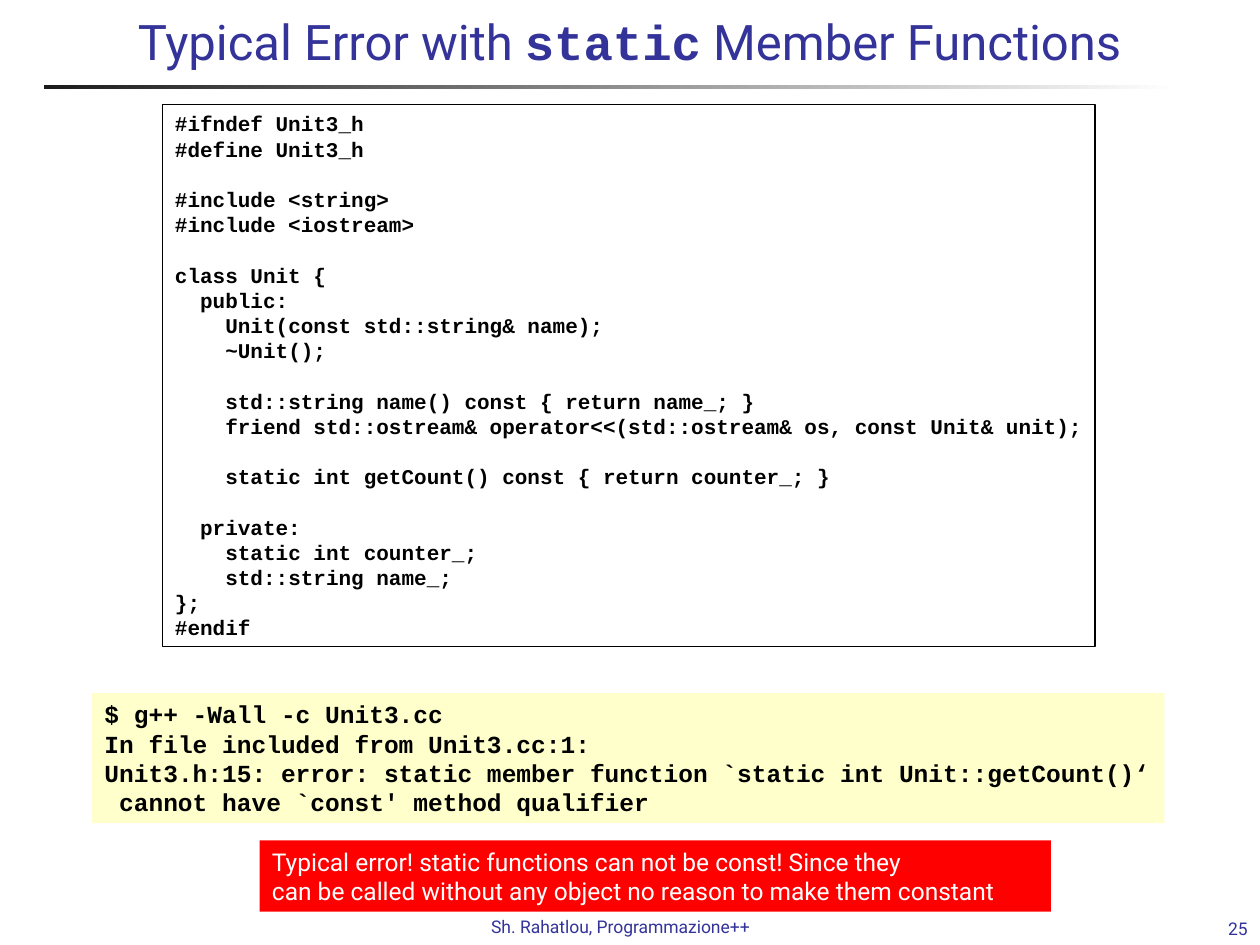
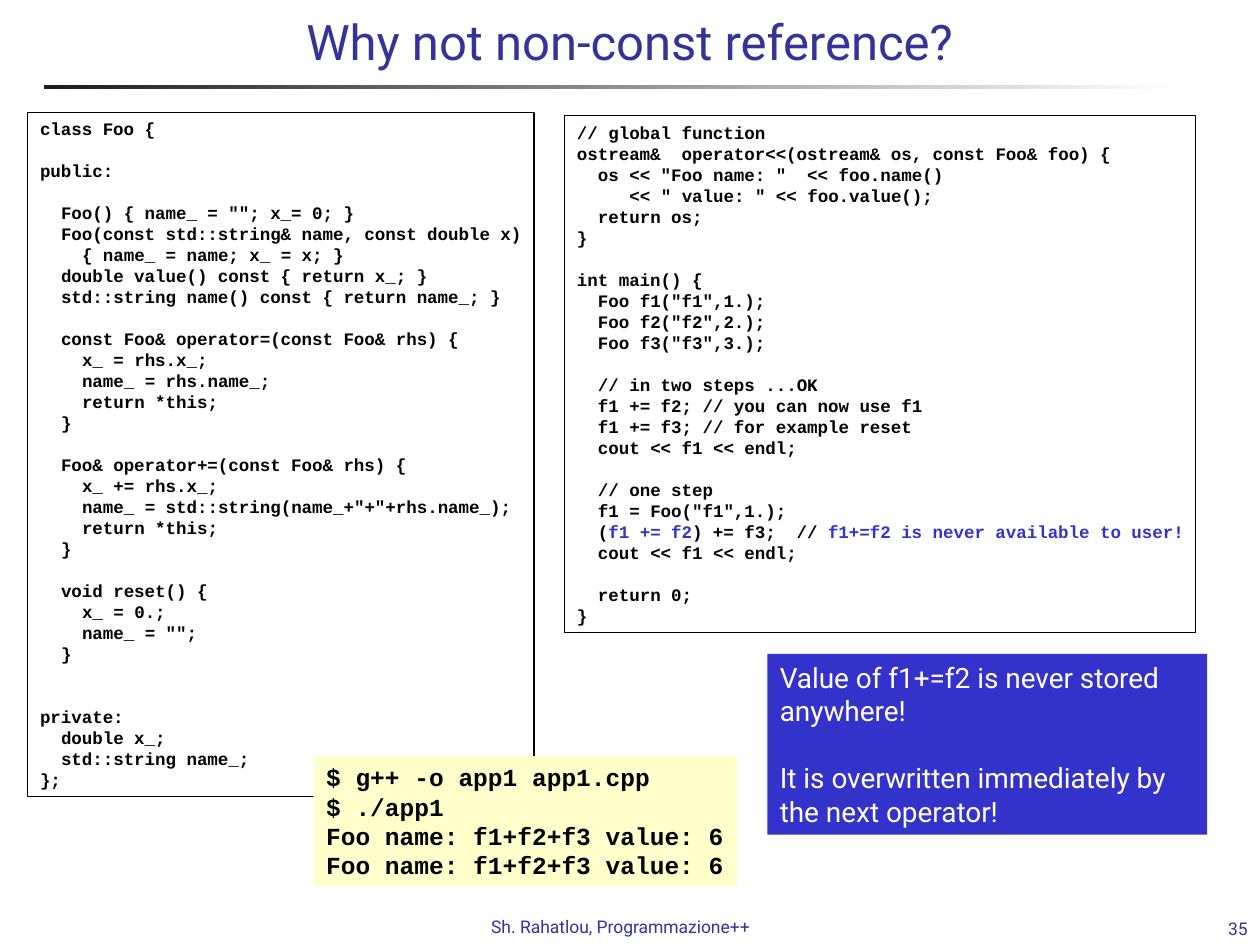
"""Build two C++ course slides with code listings, console output and callouts."""
from pptx import Presentation
from pptx.dml.color import RGBColor
from pptx.enum.shapes import MSO_SHAPE
from pptx.enum.text import MSO_ANCHOR, PP_ALIGN
from pptx.util import Pt

RECTANGLE = MSO_SHAPE.RECTANGLE
TOP, MIDDLE, BOTTOM = MSO_ANCHOR.TOP, MSO_ANCHOR.MIDDLE, MSO_ANCHOR.BOTTOM
LEFT, CENTER, RIGHT = PP_ALIGN.LEFT, PP_ALIGN.CENTER, PP_ALIGN.RIGHT

BLACK = RGBColor(0x00, 0x00, 0x00)
WHITE = RGBColor(0xFF, 0xFF, 0xFF)
CHARCOAL = RGBColor(0x1C, 0x1C, 0x1C)
INDIGO = RGBColor(0x33, 0x33, 0x99)
BLUE = RGBColor(0x33, 0x33, 0xCC)
RED = RGBColor(0xFF, 0x00, 0x00)
CREAM = RGBColor(0xFF, 0xFF, 0xCC)

SANS, MONO = "Roboto", "Courier New"
LINE_HEIGHT = 1.2
CHARACTER_WIDTH = 0.6
MARGIN_X, MARGIN_Y = 7.2, 3.6

UNIT_HEADER = """#ifndef Unit3_h
#define Unit3_h

#include <string>
#include <iostream>

class Unit {
  public:
    Unit(const std::string& name);
    ~Unit();

    std::string name() const { return name_; }
    friend std::ostream& operator<<(std::ostream& os, const Unit& unit);

    static int getCount() const { return counter_; }

  private:
    static int counter_;
    std::string name_;
};
#endif"""

COMPILER_ERROR = """$ g++ -Wall -c Unit3.cc
In file included from Unit3.cc:1:
Unit3.h:15: error: static member function `static int Unit::getCount()‘
 cannot have `const' method qualifier"""

STATIC_WARNING = ("Typical error! static functions can not be const! Since they\v"
                  "can be called without any object no reason to make them constant")

FOO_CLASS = """class Foo {

public:

  Foo() { name_ = ""; x_= 0; }
  Foo(const std::string& name, const double x)
    { name_ = name; x_ = x; }
  double value() const { return x_; }
  std::string name() const { return name_; }

  const Foo& operator=(const Foo& rhs) {
    x_ = rhs.x_;
    name_ = rhs.name_;
    return *this;
  }

  Foo& operator+=(const Foo& rhs) {
    x_ += rhs.x_;
    name_ = std::string(name_+"+"+rhs.name_);
    return *this;
  }

  void reset() {
    x_ = 0.;
    name_ = "";
  }


private:
  double x_;
  std::string name_;
};"""

FOO_MAIN = """// global function
ostream&  operator<<(ostream& os, const Foo& foo) {
  os << "Foo name: "  << foo.name()
     << " value: " << foo.value();
  return os;
}

int main() {
  Foo f1("f1",1.);
  Foo f2("f2",2.);
  Foo f3("f3",3.);

  // in two steps ...OK
  f1 += f2; // you can now use f1
  f1 += f3; // for example reset
  cout << f1 << endl;

  // one step
  f1 = Foo("f1",1.);
  (|f1 += f2|) += f3;  // |f1+=f2 is never available to user!|
  cout << f1 << endl;

  return 0;
}"""

PROGRAM_OUTPUT = """$ g++ -o app1 app1.cpp
$ ./app1
Foo name: f1+f2+f3 value: 6
Foo name: f1+f2+f3 value: 6"""

REFERENCE_NOTE = """Value of f1+=f2 is never stored\vanywhere!

It is overwritten immediately by\vthe next operator!"""


def font_format(name, size, color, bold=False):
    """Return the format values of a font."""
    return {"name": name, "size": Pt(size), "bold": bold, "color": color}


def apply_font(font, values):
    """Set each format value on a font."""
    for key, value in values.items():
        if key == "color":
            font.color.rgb = value
        else:
            setattr(font, key, value)


def add_spans(para, marked, base, accent=None):
    """Add text whose parts between bars take the accent format."""
    for index, part in enumerate(marked.split("|")):
        for row, piece in enumerate(part.split("\v")):
            if row:
                para.add_line_break()
            if piece:
                span = para.add_run()
                span.text = piece
                apply_font(span.font, {**base, **(accent or {})} if index % 2 else base)


def format_frame(frame, anchor=TOP, right=MARGIN_X):
    """Set wrapping, anchor and margins of a text frame."""
    values = {"word_wrap": True, "vertical_anchor": anchor,
              "margin_left": Pt(MARGIN_X), "margin_right": Pt(right),
              "margin_top": Pt(MARGIN_Y), "margin_bottom": Pt(MARGIN_Y)}
    for key, value in values.items():
        setattr(frame, key, value)


def fill_lines(frame, text, size, base, accent=None):
    """Write lines, turning leading spaces into indents and empty lines into spacing."""
    para, gaps = None, 0
    for line in text.split("\n"):
        if not line:
            gaps += 1
            continue
        para = frame.add_paragraph() if para else frame.paragraphs[0]
        code = line.lstrip(" ")
        indent = (len(line) - len(code)) * CHARACTER_WIDTH * size
        para._p.get_or_add_pPr().set("marL", str(Pt(indent)))
        values = {"alignment": LEFT, "line_spacing": Pt(size * LINE_HEIGHT),
                  "space_before": Pt(gaps * size * LINE_HEIGHT)}
        for key, value in values.items():
            setattr(para, key, value)
        add_spans(para, code, base, accent)
        gaps = 0


def add_panel(page, left, top, width, text, size, base, fill=None, outline=None):
    """Add a rectangle as tall as its lines of text."""
    rows = text.count("\n") + text.count("\v") + 1
    height = rows * size * LINE_HEIGHT + 2 * MARGIN_Y
    box = page.shapes.add_shape(RECTANGLE, Pt(left), Pt(top), Pt(width), Pt(height))
    box.shadow.inherit = False
    if fill is None:
        box.fill.background()
    else:
        box.fill.solid()
        box.fill.fore_color.rgb = fill
    if outline is None:
        box.line.fill.background()
    else:
        box.line.color.rgb = outline
        box.line.width = Pt(0.75)
    format_frame(box.text_frame, right=0)
    fill_lines(box.text_frame, text, size, base, {"color": BLUE})


def add_code(page, left, top, width, text, size):
    """Add an outlined code listing."""
    add_panel(page, left, top, width, text, size,
              font_format(MONO, size, BLACK, True), outline=BLACK)


def add_console(page, left, top, width, text):
    """Add a block of console output."""
    add_panel(page, left, top, width, text, 14,
              font_format(MONO, 14, BLACK, True), fill=CREAM)


def add_callout(page, left, top, width, text, size, fill):
    """Add a filled callout with white text."""
    add_panel(page, left, top, width, text, size,
              font_format(SANS, size, WHITE), fill=fill)


def add_label(page, left, top, width, height, text, anchor, alignment):
    """Add a small footer label."""
    box = page.shapes.add_textbox(Pt(left), Pt(top), Pt(width), Pt(height))
    format_frame(box.text_frame, anchor)
    para = box.text_frame.paragraphs[0]
    para.alignment = alignment
    add_spans(para, text, font_format(SANS, 10, INDIGO))
    return box


def add_shared_parts(page):
    """Put the gradient rule and the footer on the layout of a page."""
    rule = page.shapes.add_shape(RECTANGLE, Pt(25.2), Pt(48.6), Pt(648), Pt(2.5))
    rule.shadow.inherit = False
    rule.line.fill.background()
    rule.fill.gradient()
    rule.fill.gradient_angle = 0
    for stop, color in zip(rule.fill.gradient_stops, (CHARCOAL, WHITE)):
        stop.color.rgb = color
    footer = add_label(page, 273.6, 519.8, 170.6, 19.4,
                       "Sh. Rahatlou, Programmazione++", TOP, LEFT)
    for shape in (rule, footer):
        page.slide_layout.shapes._spTree.append(shape._element)


def add_page(deck, title, number):
    """Add a slide with its title and page number."""
    page = deck.slides.add_slide(deck.slide_layouts[5])
    box = page.shapes.title
    places = {"left": 41.8, "top": 1.4, "width": 635.8, "height": 48.2}
    for key, value in places.items():
        setattr(box, key, Pt(value))
    format_frame(box.text_frame, MIDDLE)
    box.text_frame.margin_bottom = Pt(8)
    para = box.text_frame.paragraphs[0]
    para.alignment = CENTER
    add_spans(para, title, font_format(SANS, 28, INDIGO), {"name": MONO, "bold": True})
    add_label(page, 642.2, 522, 77.8, 18, number, BOTTOM, RIGHT)
    return page


def main():
    """Build and save the deck."""
    deck = Presentation()
    deck.slide_width, deck.slide_height = Pt(720), Pt(540)

    page = add_page(deck, "Typical Error with |static| Member Functions", "25")
    add_shared_parts(page)
    add_code(page, 92.9, 59.8, 532.8, UNIT_HEADER, 12)
    add_console(page, 52.6, 396, 612.7, COMPILER_ERROR)
    add_callout(page, 148.3, 480.2, 452.2, STATIC_WARNING, 14, RED)

    page = add_page(deck, "Why not non-const reference?", "35")
    add_code(page, 15.8, 64.1, 289.4, FOO_CLASS, 10)
    add_code(page, 322.6, 66.2, 360.7, FOO_MAIN, 10)
    add_console(page, 179.3, 432, 241.9, PROGRAM_OUTPUT)
    add_callout(page, 438.5, 373.7, 251.3, REFERENCE_NOTE, 16, BLUE)

    deck.save("out.pptx")


if __name__ == "__main__":
    main()
